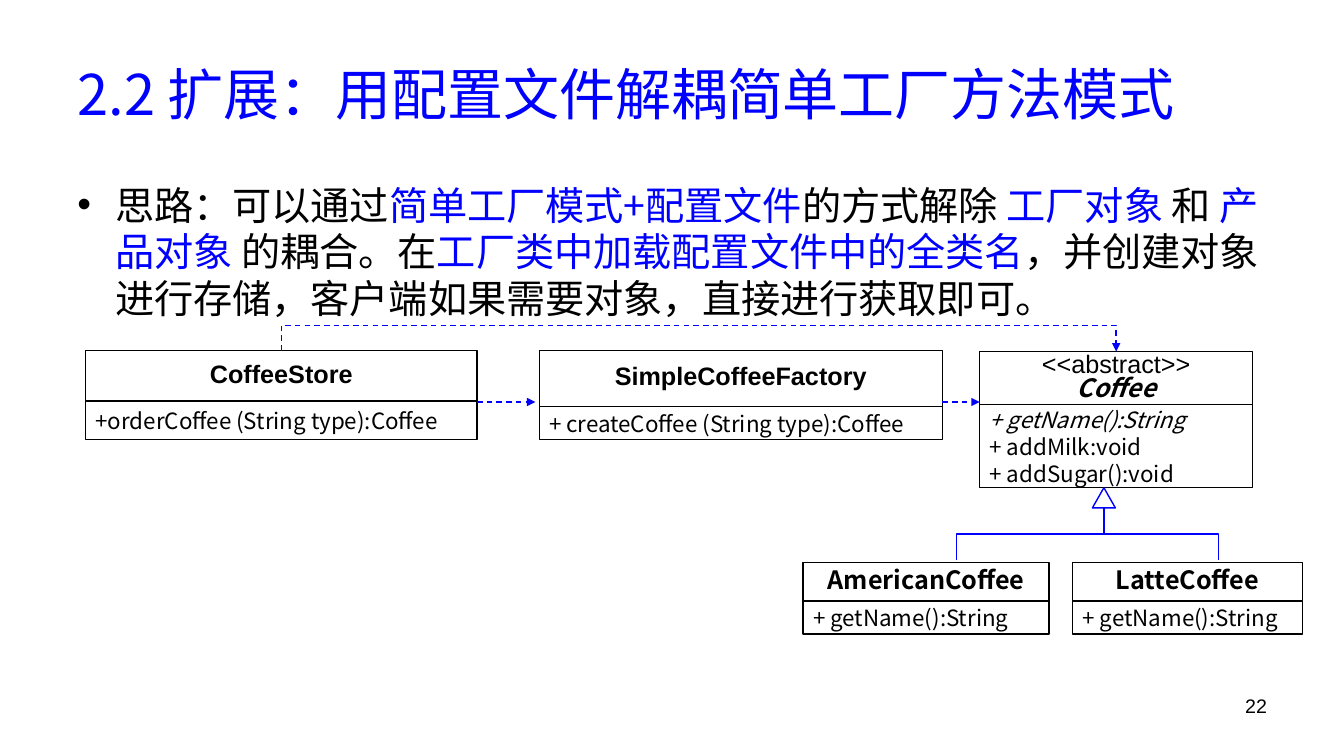
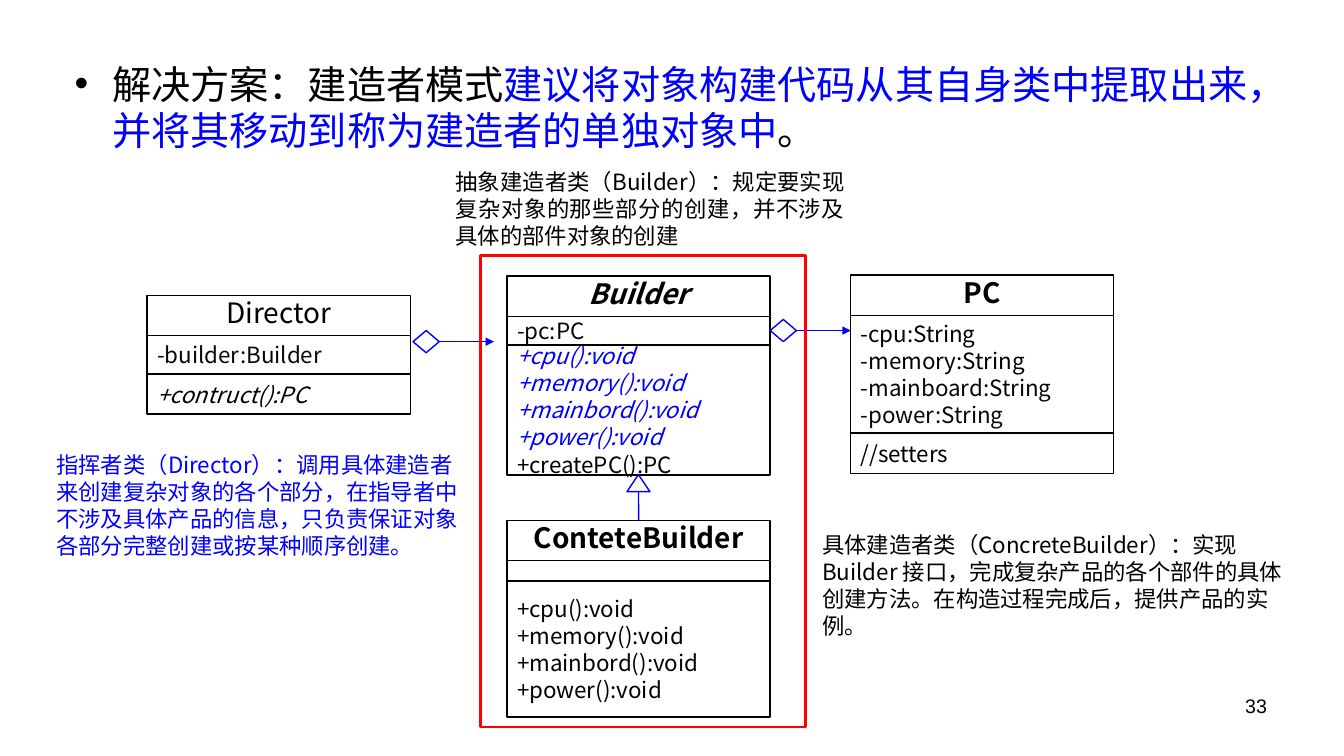
from lxml import etree
from pptx import Presentation
from pptx.dml.color import RGBColor
from pptx.enum.dml import MSO_LINE
from pptx.enum.shapes import MSO_CONNECTOR, MSO_SHAPE
from pptx.enum.text import MSO_ANCHOR, MSO_AUTO_SIZE, PP_ALIGN
from pptx.oxml.ns import qn
from pptx.util import Cm, Pt

LEFT, MID, RIGHT, JUST = PP_ALIGN.LEFT, PP_ALIGN.CENTER, PP_ALIGN.RIGHT, PP_ALIGN.JUSTIFY
TOP, CENTER = MSO_ANCHOR.TOP, MSO_ANCHOR.MIDDLE
FIXED, DASH = MSO_AUTO_SIZE.NONE, MSO_LINE.DASH
STRAIGHT, ELBOW = MSO_CONNECTOR.STRAIGHT, MSO_CONNECTOR.ELBOW
RECT, DIAMOND = MSO_SHAPE.RECTANGLE, MSO_SHAPE.DIAMOND
TRIANGLE = MSO_SHAPE.ISOSCELES_TRIANGLE

BLUE, BLACK, INK, WHITE, RED = "0000FF", "000000", "080808", "FFFFFF", "FF0000"
SANS, ARIAL = "Noto Sans CJK SC", "Arial"
BASE = {"name": SANS, "size": 16, "color": BLACK}
TITLE = {"size": 40, "color": BLUE}
BODY = {"size": 28}
PAGE = {"name": ARIAL, "size": 14}
HEAD = {"size": 18, "bold": True}
STORE = {**HEAD, "name": ARIAL}
STEREO = {"name": ARIAL, "size": 18}
BIG = {"size": 20}
BOLD = {**BIG, "bold": True}
SLANT = {"italic": True}
HOT = {"color": BLUE}
HOOK = {**SLANT, **HOT}
DARK = {"color": INK}

# A line is a list of (text, format) runs.
NAME = [("+ getName():String", {})]
PARTS = ["+cpu():void", "+memory():void", "+mainbord():void", "+power():void"]

FACTORY = {
    "title": "2.2 扩展：用配置文件解耦简单工厂方法模式",
    "page": "22",
    "body": (1.7, 4.45, 3.45, [
        ("思路：可以通过", {}), ("简单工厂模式+配置文件", HOT),
        ("的方式解除 ", {}), ("工厂对象 ", HOT), ("和 ", {}),
        ("产品对象 ", HOT), ("的耦合。在", {}),
        ("工厂类中加载配置文件中的全类名", HOT),
        ("，并创建对象进行存储，客户端如果需要对象，直接进行获取即可。", {})]),
    # left, top, width, then (height, lines) for each part
    "classes": [
        (20.24, 14.17, 6.2, [(0.98, [[("AmericanCoffee", HEAD)]]), (0.83, [NAME])]),
        (27.03, 14.17, 5.79, [(0.98, [[("LatteCoffee", HEAD)]]), (0.83, [NAME])]),
        (24.69, 8.86, 6.88, [
            (1.34, [[("<<abstract>>", STEREO)], [("Coffee", {**HEAD, **SLANT})]]),
            (2.08, [[("+ getName():String", SLANT)], [("+ addMilk:void", {})],
                    [("+ addSugar():void", {})]])]),
        (13.59, 8.84, 10.16, [
            (1.4, [[("SimpleCoffeeFactory", STORE)]]),
            (0.84, [[("+ createCoffee (String type):Coffee", {})]])]),
        (2.16, 8.84, 9.86, [
            (1.27, [[("CoffeeStore", STORE)]]),
            (0.97, [[("+orderCoffee (String type):Coffee", {})]])]),
    ],
}
BUILDER = {
    "page": "33",
    "body": (1.63, 1.4, 2.34, [
        ("解决方案：建造者模式", {}),
        ("建议将对象构建代码从其自身类中提取出来，并将其移动到称为建造者的单独对象中", HOT),
        ("。", {})]),
    "classes": [
        (21.44, 6.93, 6.63, [
            (1.02, [[("PC", BOLD)]]),
            (2.96, [[("-cpu:String", {})], [("-memory:String", {})],
                    [("-", {}), ("mainboard:String", DARK)], [("-power:String", DARK)]]),
            (1.02, [[("//setters", {})]])]),
        (12.78, 6.96, 6.63, [
            (1.02, [[("Builder", {**BOLD, **SLANT})]]),
            (0.71, [[("-pc:PC", DARK)]]),
            (3.28, [[(part, HOOK)] for part in PARTS] + [[("+createPC():PC", {})]])]),
        (12.78, 13.11, 6.63, [
            (1.02, [[("ConteteBuilder", BOLD)]]),
            (0.51, []),
            (3.43, [[(part, {})] for part in PARTS])]),
        (3.71, 7.44, 6.63, [
            (1.02, [[("Director", BIG)]]),
            (0.97, [[("-builder:Builder", DARK)]]),
            (1, [[("+contruct():PC", SLANT)]])]),
    ],
}
NOTES = [
    (11.23, 4.11, 10.31, 2.31, JUST, BLACK,
     "抽象建造者类（Builder）：规定要实现复杂对象的那些部分的创建，并不涉及具体的部件对象的创建"),
    (20.47, 13.26, 12.12, 3, LEFT, BLACK,
     "具体建造者类（ConcreteBuilder）：实现 Builder 接口，完成复杂产品的各个部件的具体创建方法。"
     "在构造过程完成后，提供产品的实例。"),
    (1.17, 11.23, 10.97, 3, LEFT, BLUE,
     "指挥者类（Director）：调用具体建造者来创建复杂对象的各个部分，在指导者中不涉及具体产品的信息，"
     "只负责保证对象各部分完整创建或按某种顺序创建。"),
]


def rgb(code):
    return RGBColor.from_string(code)


def style(run, form):
    for key, value in {**BASE, **form}.items():
        if key == "color":
            run.font.color.rgb = rgb(value)
        else:
            setattr(run.font, key, Pt(value) if key == "size" else value)
    # East Asian glyphs take their own font entry.
    face = etree.SubElement(run.font._element, qn("a:ea"))
    face.set("typeface", run.font.name)


def write(shape, lines, align=LEFT, anchor=TOP, gap=None):
    frame = shape.text_frame
    frame.word_wrap, frame.auto_size = True, FIXED
    frame.vertical_anchor = anchor
    for i, line in enumerate(lines):
        para = frame.add_paragraph() if i else frame.paragraphs[0]
        para.alignment, para.line_spacing = align, gap
        for text, form in line:
            run = para.add_run()
            run.text = text
            style(run, form)


def label(slide, place, lines, **form):
    box = slide.shapes.add_textbox(*map(Cm, place))
    write(box, lines, **form)
    return box


def bullet(slide, left, top, high, runs):
    box = label(slide, (left, top, 30.48, high), [runs], gap=Pt(33.2))
    props = box.text_frame.paragraphs[0]._p.get_or_add_pPr()
    props.set("marL", str(Cm(0.95)))
    props.set("indent", str(-Cm(0.95)))
    etree.SubElement(props, qn("a:buFont")).set("typeface", ARIAL)
    etree.SubElement(props, qn("a:buChar")).set("char", "•")


def shape(slide, kind, place, line=BLACK, fill=WHITE, width=1):
    item = slide.shapes.add_shape(kind, *map(Cm, place))
    item.shadow.inherit = False
    if fill:
        item.fill.solid()
        item.fill.fore_color.rgb = rgb(fill)
    else:
        item.fill.background()
    item.line.color.rgb = rgb(line)
    item.line.width = Pt(width)
    return item


def uml(slide, left, top, width, parts):
    """Stack the parts of a class box and return its rectangles."""
    rects = []
    for high, lines in parts:
        rect = shape(slide, RECT, (left, top, width, high))
        if rects:
            write(rect, lines, anchor=CENTER, gap=Pt(19.3))
        else:
            write(rect, lines, MID, CENTER, 0.8)
        rects.append(rect)
        top += high
    return rects


def link(slide, start, end, kind=STRAIGHT, dash=False, arrow=False):
    line = slide.shapes.add_connector(kind, *map(Cm, start + end))
    line.line.color.rgb = rgb(BLUE)
    line.line.width = Pt(1)
    if dash:
        line.line.dash_style = DASH
    if arrow:
        etree.SubElement(line.line._get_or_add_ln(), qn("a:tailEnd")).set("type", "triangle")
    etree.SubElement(line._element.spPr, qn("a:effectLst"))
    return line


def riser(slide, start, end, lane, **form):
    """Elbow that leaves vertically and crosses at height lane."""
    (x1, y1), (x2, y2) = start, end
    cx, cy = (x1 + x2) / 2, (y1 + y2) / 2
    dx, dy = (x2 - x1) / 2, (y2 - y1) / 2
    line = link(slide, (cx - dy, cy + dx), (cx + dy, cy - dx), ELBOW, **form)
    props = line._element.spPr
    props.find(qn("a:xfrm")).set("rot", "5400000")
    guide = etree.SubElement(props.find(qn("a:prstGeom")).find(qn("a:avLst")), qn("a:gd"))
    guide.set("name", "adj1")
    guide.set("fmla", f"val {round((lane - y1) / (y2 - y1) * 100000)}")


def start(deck, data):
    """Add a slide with its title, body, page number and class boxes."""
    title = data.get("title")
    slide = deck.slides.add_slide(deck.slide_layouts[5 if title else 6])
    if title:
        head = slide.shapes.title
        head.left, head.top, head.width, head.height = map(Cm, (1.7, 0.76, 30.48, 3.18))
        write(head, [[(title, TITLE)]], anchor=CENTER)
    left, top, high, runs = data["body"]
    bullet(slide, left, top, high, [(text, {**BODY, **form}) for text, form in runs])
    label(slide, (24.28, 17.35, 7.9, 1.32), [[(data["page"], PAGE)]], align=RIGHT)
    return slide, [uml(slide, *spec) for spec in data["classes"]]


def factory(deck):
    slide, _ = start(deck, FACTORY)
    shape(slide, TRIANGLE, (27.53, 12.29, 0.58, 0.51), BLUE)
    for x in (24.1, 30.71):
        riser(slide, (x, 14.12), (27.82, 12.8), 13.46)
    for x1, x2 in ((12.02, 13.49), (23.75, 24.69)):
        link(slide, (x1, 10.13), (x2, 10.13), dash=True, arrow=True)
    riser(slide, (7.09, 8.84), (28.13, 8.86), 8.2, dash=True, arrow=True)


def builder(deck):
    slide, rects = start(deck, BUILDER)
    shape(slide, TRIANGLE, (15.8, 11.96, 0.58, 0.43), BLUE)
    stem = link(slide, (16.09, 13.11), (16.09, 12.39))
    stem.begin_connect(rects[2][0], 0)
    for left, top, end in ((19.41, 8.05, 21.44), (10.41, 8.33, 12.45)):
        gem = shape(slide, DIAMOND, (left, top, 0.66, 0.56), BLUE)
        y = top + 0.28
        arrow = link(slide, (left + 0.66, y), (end, y), arrow=True)
        arrow.begin_connect(gem, 3)
    for *place, align, color, text in NOTES:
        label(slide, place, [[(text, {"color": color})]], align=align, gap=Pt(19.3))
    shape(slide, RECT, (12.12, 6.43, 8.18, 11.89), RED, None, 2)


def main():
    deck = Presentation()
    deck.slide_width, deck.slide_height = Cm(33.87), Cm(19.05)
    factory(deck)
    builder(deck)
    deck.save("out.pptx")


if __name__ == "__main__":
    main()
